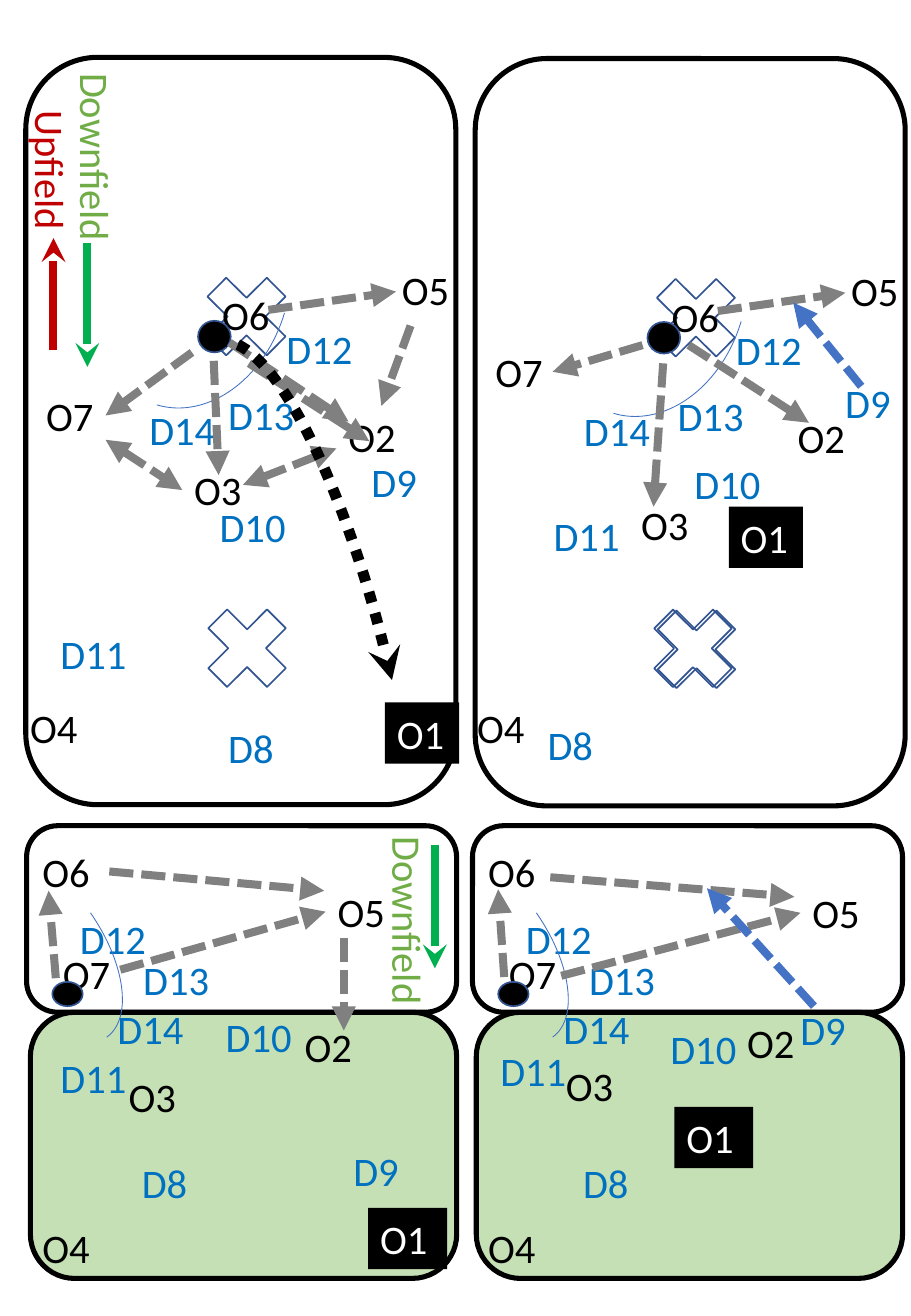
from dataclasses import dataclass, field

from lxml import etree
from pptx import Presentation
from pptx import util as u
from pptx.dml.color import RGBColor
from pptx.enum import dml, shapes, text
from pptx.oxml.ns import qn

BLACK = RGBColor(0x00, 0x00, 0x00)
WHITE = RGBColor(0xFF, 0xFF, 0xFF)
NAVY = RGBColor(0x32, 0x54, 0x91)
BLUE = RGBColor(0x44, 0x72, 0xC4)
SKY = RGBColor(0x00, 0x70, 0xC0)
GRAY = RGBColor(0x80, 0x80, 0x80)
RED = RGBColor(0xC0, 0x00, 0x00)
GREEN = RGBColor(0x00, 0xB0, 0x50)
LEAF = RGBColor(0x70, 0xAD, 0x47)
GRASS = RGBColor(0xC5, 0xE0, 0xB4)

KIND = shapes.MSO_SHAPE
DASH = dml.MSO_LINE.SQUARE_DOT
DOTS = dml.MSO_LINE.ROUND_DOT
HIGH = 36.35


@dataclass
class Form:
    kind: KIND
    x: float
    y: float
    w: float
    h: float
    fill: RGBColor | None = None
    line: RGBColor = BLACK
    thick: float = 3
    turn: float = 0


@dataclass
class Mark:
    name: str
    x: float
    y: float
    w: float = 0
    turn: float = 0
    color: RGBColor | None = None


@dataclass
class Arrow:
    x1: float
    y1: float
    x2: float
    y2: float
    color: RGBColor = GRAY
    solid: bool = False
    both: bool = False
    start: tuple[str, int] | None = None
    end: tuple[str, int] | None = None


@dataclass
class Panel:
    dx: float
    dy: float
    slim: float
    wide: float
    box: float
    back: list[Form]
    marks: list[Mark]
    front: list[Form]
    arrows: list[Arrow]
    drawn: dict = field(default_factory=dict)


def cross(x: float, y: float, w: float = 67) -> Form:
    return Form(KIND.MATH_MULTIPLY, x, y, w, 67, None, NAVY, 1)


def ball(x: float, y: float, w: float, h: float) -> Form:
    return Form(KIND.OVAL, x, y, w, h, BLACK, NAVY, 1)


def curve(x: float, y: float, w: float, h: float, turn: float) -> Form:
    return Form(KIND.ARC, x, y, w, h, None, BLUE, 0.5, turn)


def tip(item, spot: str, style: str) -> None:
    line = item.element.spPr.find(qn("a:ln"))
    etree.SubElement(line, qn(f"a:{spot}End")).set("type", style)


def draw_form(slide, form: Form, dx: float, dy: float):
    item = slide.shapes.add_shape(form.kind, u.Pt(form.x + dx), u.Pt(form.y + dy),
                                  u.Pt(form.w), u.Pt(form.h))
    item.shadow.inherit = False
    item.rotation = form.turn
    if form.fill is None:
        item.fill.background()
    else:
        item.fill.solid()
        item.fill.fore_color.rgb = form.fill
    item.line.color.rgb = form.line
    item.line.width = u.Pt(form.thick)
    return item


def draw_mark(slide, mark: Mark, panel: Panel) -> None:
    x, y = u.Pt(mark.x + panel.dx), u.Pt(mark.y + panel.dy)
    wide = mark.w or (panel.wide if len(mark.name) > 2 else panel.slim)
    tone = mark.color or (SKY if mark.name[0] == "D" else BLACK)
    if mark.name == "O1":
        tone = WHITE
        item = slide.shapes.add_shape(KIND.RECTANGLE, x, y, u.Pt(panel.box), u.Pt(HIGH))
        item.shadow.inherit = False
        item.fill.solid()
        item.fill.fore_color.rgb = BLACK
        item.line.fill.background()
    else:
        item = slide.shapes.add_textbox(x, y, u.Pt(wide), u.Pt(HIGH))
    item.rotation = mark.turn
    frame = item.text_frame
    frame.word_wrap = True
    frame.auto_size = text.MSO_AUTO_SIZE.SHAPE_TO_FIT_TEXT
    para = frame.paragraphs[0]
    para.alignment = text.PP_ALIGN.LEFT
    run = para.add_run()
    run.text = mark.name
    run.font.name = "Calibri"
    run.font.size = u.Pt(24)
    run.font.color.rgb = tone
    panel.drawn[mark.name] = item


def draw_arrow(slide, arrow: Arrow, panel: Panel) -> None:
    item = slide.shapes.add_connector(
        shapes.MSO_CONNECTOR.STRAIGHT,
        u.Pt(arrow.x1 + panel.dx), u.Pt(arrow.y1 + panel.dy),
        u.Pt(arrow.x2 + panel.dx), u.Pt(arrow.y2 + panel.dy))
    item.line.color.rgb = arrow.color
    item.line.width = u.Pt(4.75)
    if not arrow.solid:
        item.line.dash_style = DASH
    if arrow.both:
        tip(item, "head", "triangle")
    tip(item, "tail", "stealth" if arrow.solid else "triangle")
    etree.SubElement(item.element.spPr, qn("a:effectLst"))
    if arrow.start:
        item.begin_connect(panel.drawn[arrow.start[0]], arrow.start[1])
    if arrow.end:
        item.end_connect(panel.drawn[arrow.end[0]], arrow.end[1])


def draw_panel(slide, panel: Panel) -> None:
    for form in panel.back:
        draw_form(slide, form, panel.dx, panel.dy)
    for mark in panel.marks:
        draw_mark(slide, mark, panel)
    for form in panel.front:
        draw_form(slide, form, panel.dx, panel.dy)
    for arrow in panel.arrows:
        draw_arrow(slide, arrow, panel)


def upper(dx: float, dy: float, back: list[Form], marks: list[Mark],
          front: list[Form], arrows: list[Arrow]) -> Panel:
    pitch = Form(KIND.ROUNDED_RECTANGLE, 15.3, 34, 254.9, 442.8, WHITE)
    same = [Mark("O2", 199.4, 240.5), Mark("O5", 231.1, 153.4), Mark("O6", 124.6, 168.5, 60.5),
            Mark("D12", 162.7, 188.6), Mark("D13", 128.2, 227.5)]
    return Panel(dx, dy, 53.3, 69.8, 44,
                 [pitch, cross(113, 350.6), cross(112.3, 154.1, 67.7)] + back,
                 same + marks, [ball(117.4, 190.1, 19.4, 18.7)] + front,
                 [Arrow(159.1, 183.6, 234.7, 172.8)] + arrows)


def lower(dx: float, marks: list[Mark], arrows: list[Arrow]) -> Panel:
    back = [Form(KIND.ROUNDED_RECTANGLE, 15.8, 489.3, 254.9, 110.5),
            Form(KIND.ROUNDED_RECTANGLE, 18, 599.8, 252.7, 157.7, GRASS)]
    same = [Mark("O4", 18, 721.4), Mark("O6", 18, 498.2), Mark("O7", 30.2, 558.7),
            Mark("D12", 40.3, 537.8), Mark("D13", 77.8, 562.3), Mark("D14", 62.6, 591.1)]
    front = [ball(31, 581.8, 18, 14.4), curve(-40.3, 526.3, 131.8, 68.4, 55.1)]
    return Panel(dx, 0, 46.8, 61.9, 46.8, back, same + marks, front, arrows)


PANELS = [
    lower(0, [
        Mark("O2", 173.5, 601.9, 51.8), Mark("O1", 218.2, 715.7), Mark("O3", 69.1, 631.4, 51.8),
        Mark("O5", 193, 522), Mark("D8", 77, 682.6), Mark("D9", 202.3, 675.4),
        Mark("D10", 126.7, 596.2), Mark("D11", 28.8, 620.6),
        Mark("Downfield", 180, 532.1, 123.8, 90, LEAF),
    ], [
        Arrow(33.1, 579.6, 28.8, 527.8), Arrow(71.3, 574.6, 193, 540.7, end=("O5", 1)),
        Arrow(64.1, 516.2, 192.2, 527.8, start=("O6", 3)), Arrow(203.8, 555.8, 203.8, 610.6),
        Arrow(257.8, 500.4, 257.8, 573.8, GREEN, True),
    ]),
    upper(0, 0, [], [
        Mark("O1", 228.2, 416.2), Mark("O3", 108, 272.2), Mark("O4", 10.8, 413.3),
        Mark("O7", 20.2, 228.2), Mark("D8", 128.2, 424.8), Mark("D9", 213.1, 267.1),
        Mark("D10", 123.1, 293.8), Mark("D11", 28.8, 369.4), Mark("D14", 81.4, 236.2),
        Mark("Upfield", -18, 88.6, 96.5, 90, RED), Mark("Downfield", -5, 79.9, 123.8, 90, LEAF),
    ], [curve(40.3, 112.3, 147.6, 113.8, 106.6)], [
        Arrow(243.4, 193, 226.1, 240.5, end=("O2", 0)), Arrow(136.1, 203, 206.6, 249.8),
        Arrow(199.4, 265.7, 144, 287.3, both=True), Arrow(126.7, 213.8, 129.6, 281.5),
        Arrow(113.8, 208.8, 62.6, 246.2),
        Arrow(62.6, 260.6, 108, 290.2, both=True, end=("O3", 1)),
        Arrow(147.6, 215.3, 218.9, 261.4),
        Arrow(51.8, 144, 51.8, 217.4, GREEN, True), Arrow(31.7, 207.4, 31.7, 141.1, RED, True),
    ]),
    lower(264.3, [
        Mark("O2", 171.4, 599.8, 51.8), Mark("O1", 135.4, 655.9), Mark("O3", 64.1, 625, 51.8),
        Mark("O5", 210.2, 522.7), Mark("D8", 74.2, 682.6), Mark("D9", 203, 591.8),
        Mark("D10", 126, 603.4), Mark("D11", 25.2, 616.3),
    ], [
        Arrow(34.6, 578.9, 31, 527), Arrow(68.4, 578.2, 210.2, 540.7, end=("O5", 1)),
        Arrow(61.9, 519.8, 206.6, 531.4), Arrow(218.2, 596.2, 154.8, 526.3, BLUE),
    ]),
    upper(266.4, 0.7, [cross(110.9, 350)], [
        Mark("O1", 165.6, 299.5), Mark("O3", 106.6, 292.3), Mark("O4", 9.4, 412.6),
        Mark("O7", 20.2, 201.6), Mark("D8", 51.1, 422.6), Mark("D9", 227.5, 219.6),
        Mark("D10", 138.2, 267.8), Mark("D11", 54.7, 298.8), Mark("D14", 72.7, 236.2),
    ], [curve(44.6, 116.6, 147.6, 113.8, 106.6)], [
        Arrow(114.5, 203.8, 61.2, 219.6), Arrow(126.7, 214.6, 121, 299.5),
        Arrow(141.8, 203.8, 213.1, 249.8), Arrow(244.1, 228.2, 203.8, 178.6, BLUE),
    ]),
]


def main() -> None:
    deck = Presentation()
    deck.slide_width, deck.slide_height = u.Pt(540), u.Pt(779.76)
    slide = deck.slides.add_slide(deck.slide_layouts[6])
    for panel in PANELS:
        draw_panel(slide, panel)
    throw = draw_form(slide, Form(KIND.ARC, 115.9, 197.3, 123.1, 485.3, None, BLACK, 6.5, 348.4), 0, 0)
    throw.adjustments[0] = 161.96
    throw.adjustments[1] = 202.58
    throw.line.dash_style = DOTS
    tip(throw, "tail", "stealth")
    deck.save("out.pptx")


if __name__ == "__main__":
    main()
